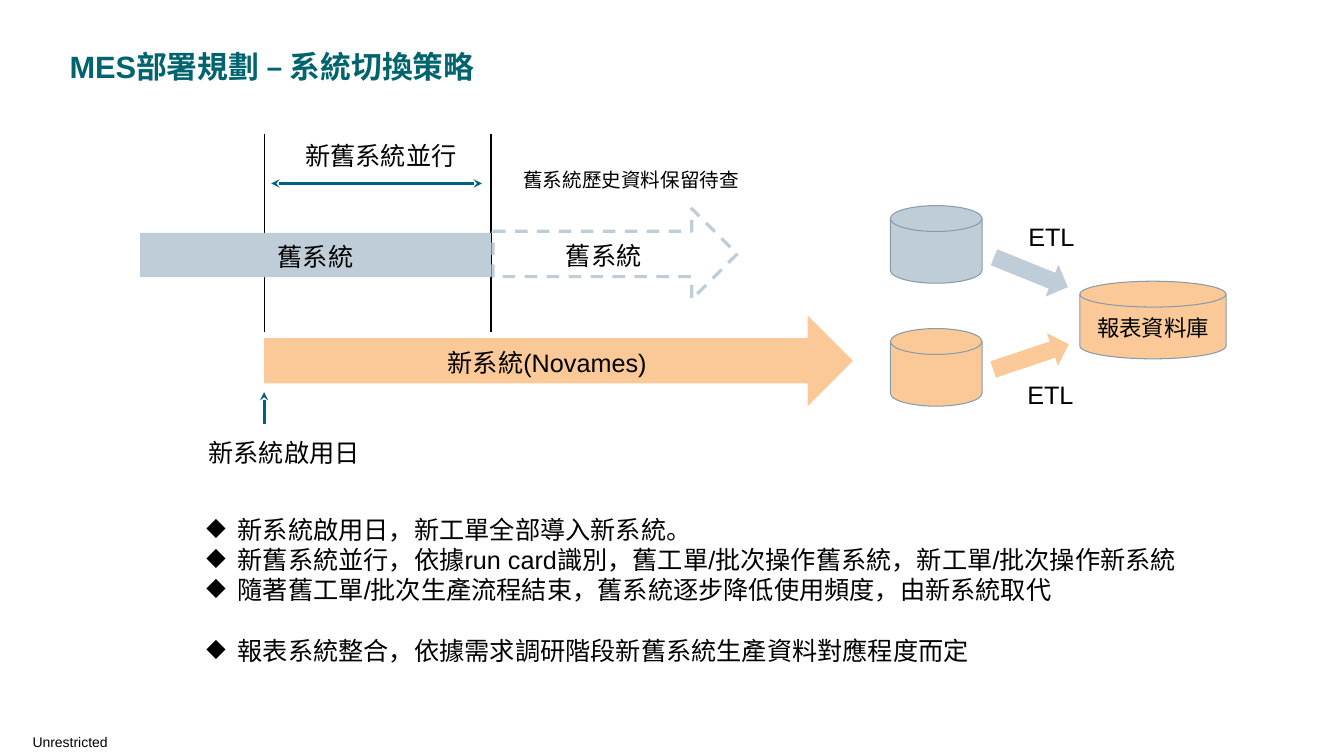
import pptx
import pptx.util
import pptx.dml.color
import pptx.enum.dml
import pptx.enum.shapes
import pptx.enum.text
import pptx.oxml
import pptx.oxml.ns

Inches = pptx.util.Inches
Pt = pptx.util.Pt
Kind = pptx.enum.shapes.MSO_SHAPE
Align = pptx.enum.text.PP_ALIGN
Anchor = pptx.enum.text.MSO_ANCHOR

COLORS = {
    "title": "00646E",
    "text": "000000",
    "old": "BECDD7",
    "new": "FBC897",
    "edge": "879BAA",
    "mark": "005F87",
}
START, END = 2.62, 4.87


def color(name):
    return pptx.dml.color.RGBColor.from_string(COLORS[name])


def style(para, size, name="text", bold=None):
    para.font.name = "Arial"
    para.font.size = Pt(size)
    para.font.bold = bold
    para.font.color.rgb = color(name)


def inset(frame, left, top, right, bottom):
    frame.margin_left, frame.margin_top = Inches(left), Inches(top)
    frame.margin_right, frame.margin_bottom = Inches(right), Inches(bottom)


def add_title(slide, text):
    title = slide.shapes.title
    title.left = title.top = Inches(0)
    title.width, title.height = Inches(13.33), Inches(1.57)
    frame = title.text_frame
    frame.text = text
    frame.auto_size = pptx.enum.text.MSO_AUTO_SIZE.NONE
    frame.vertical_anchor = Anchor.TOP
    inset(frame, 0.69, 0.47, 3.7, 0.26)
    para = frame.paragraphs[0]
    para.alignment = Align.LEFT
    style(para, 22, "title", True)


def add_label(slide, box, text, size=18):
    label = slide.shapes.add_textbox(*map(Inches, box))
    frame = label.text_frame
    frame.word_wrap = True
    frame.text = text
    style(frame.paragraphs[0], size)
    return frame


def add_foot(slide, text):
    frame = add_label(slide, (0, 7.28, 1.39, 0.17), text, 10)
    inset(frame, 0, 0, 0, 0)
    frame.vertical_anchor = Anchor.MIDDLE
    frame.paragraphs[0].alignment = Align.CENTER


def add_block(slide, kind, box, fill=None, edge=None, text="", size=18, turn=0):
    shape = slide.shapes.add_shape(kind, *map(Inches, box))
    shape.shadow.inherit = False
    shape.rotation = turn
    if fill:
        shape.fill.solid()
        shape.fill.fore_color.rgb = color(fill)
    else:
        shape.fill.background()
    if edge:
        shape.line.color.rgb = color(edge)
        shape.line.width = Pt(0.75)
    else:
        shape.line.fill.background()
    if text:
        frame = shape.text_frame
        frame.text = text
        inset(frame, 0.12, 0.06, 0.12, 0.06)
        frame.vertical_anchor = Anchor.MIDDLE
        para = frame.paragraphs[0]
        para.alignment = Align.CENTER
        para.line_spacing = 1.1
        style(para, size)
    return shape


def add_line(slide, ends, name, width, tips=()):
    line = slide.shapes.add_connector(
        pptx.enum.shapes.MSO_CONNECTOR.STRAIGHT, *map(Inches, ends))
    line.line.color.rgb = color(name)
    line.line.width = Pt(width)
    stroke = line.line._get_or_add_ln()
    for tip in tips:
        end = pptx.oxml.ns.qn(f"a:{tip}End")
        stroke.append(stroke.makeelement(end, {"type": "stealth"}))
    props = line._element.spPr
    props.append(props.makeelement(pptx.oxml.ns.qn("a:effectLst"), {}))


def add_list(slide, box, items):
    frame = add_label(slide, box, "\n".join(text for text, gap in items))
    space = pptx.oxml.ns.nsdecls("a")
    for para, (text, gap) in zip(frame.paragraphs, items):
        props = para._p.get_or_add_pPr()
        for old in list(props):
            props.remove(old)
        props.set("marL", str(Inches(0.31)))
        props.set("indent", str(-Inches(0.31)))
        for part in (
            f'<a:buClr {space}><a:srgbClr val="{COLORS["text"]}"/></a:buClr>',
            f'<a:buChar {space} char="◆"/>',
        ):
            props.append(pptx.oxml.parse_xml(part))
        if gap:
            para.space_before = Pt(gap)
        style(para, 18)


def main():
    deck = pptx.Presentation()
    deck.slide_width, deck.slide_height = Inches(13.33), Inches(7.5)
    slide = deck.slides.add_slide(deck.slide_layouts[5])
    add_title(slide, "MES部署規劃 – 系統切換策略")
    add_foot(slide, "Unrestricted")

    for x in (START, END):
        add_line(slide, (x, 1.33, x, 3.29), "text", 0.75)
    add_line(slide, (2.69, 1.82, 4.78, 1.82), "mark", 2, ("head", "tail"))
    add_line(slide, (START, 3.89, START, 4.21), "mark", 2, ("head",))

    add_block(slide, Kind.RIGHT_ARROW, (START, 3.13, 5.84, 0.9), "new",
              text="新系統(Novames)")
    kept = add_block(slide, Kind.RIGHT_ARROW, (4.89, 2.07, 2.42, 0.9),
                     edge="old", text="舊系統")
    kept.line.width = Pt(2.25)
    kept.line.dash_style = pptx.enum.dml.MSO_LINE.DASH
    add_block(slide, Kind.RECTANGLE, (1.39, 2.31, 3.48, 0.44), "old",
              text="舊系統")

    disk = Kind.FLOWCHART_MAGNETIC_DISK
    for name, top, flow, turn, x, y in (
        ("old", 2.04, 2.53, 22, 10.1, 2.15),
        ("new", 3.26, 3.37, 341.4, 10.09, 3.71),
    ):
        add_block(slide, disk, (8.83, top, 0.91, 0.77), name, "edge")
        add_block(slide, Kind.RIGHT_ARROW, (9.83, flow, 0.79, 0.34), name,
                  turn=turn)
        add_label(slide, (x, y, 0.91, 0.4), "ETL")
    add_block(slide, disk, (10.71, 2.79, 1.45, 0.77), "new", "edge",
              "報表資料庫", 16)

    add_label(slide, (2.93, 1.34, 1.93, 0.4), "新舊系統並行")
    add_label(slide, (1.97, 4.29, 2.98, 0.4), "新系統啟用日")
    add_label(slide, (5.09, 1.62, 2.42, 0.34), "舊系統歷史資料保留待查", 14)
    add_list(slide, (1.95, 5.05, 10.03, 1.62), (
        ("新系統啟用日，新工單全部導入新系統。", 0),
        ("新舊系統並行，依據run card識別，舊工單/批次操作舊系統，新工單/批次操作新系統", 0),
        ("隨著舊工單/批次生產流程結束，舊系統逐步降低使用頻度，由新系統取代", 0),
        ("報表系統整合，依據需求調研階段新舊系統生產資料對應程度而定", 21.6),
    ))
    deck.save("out.pptx")


if __name__ == "__main__":
    main()
